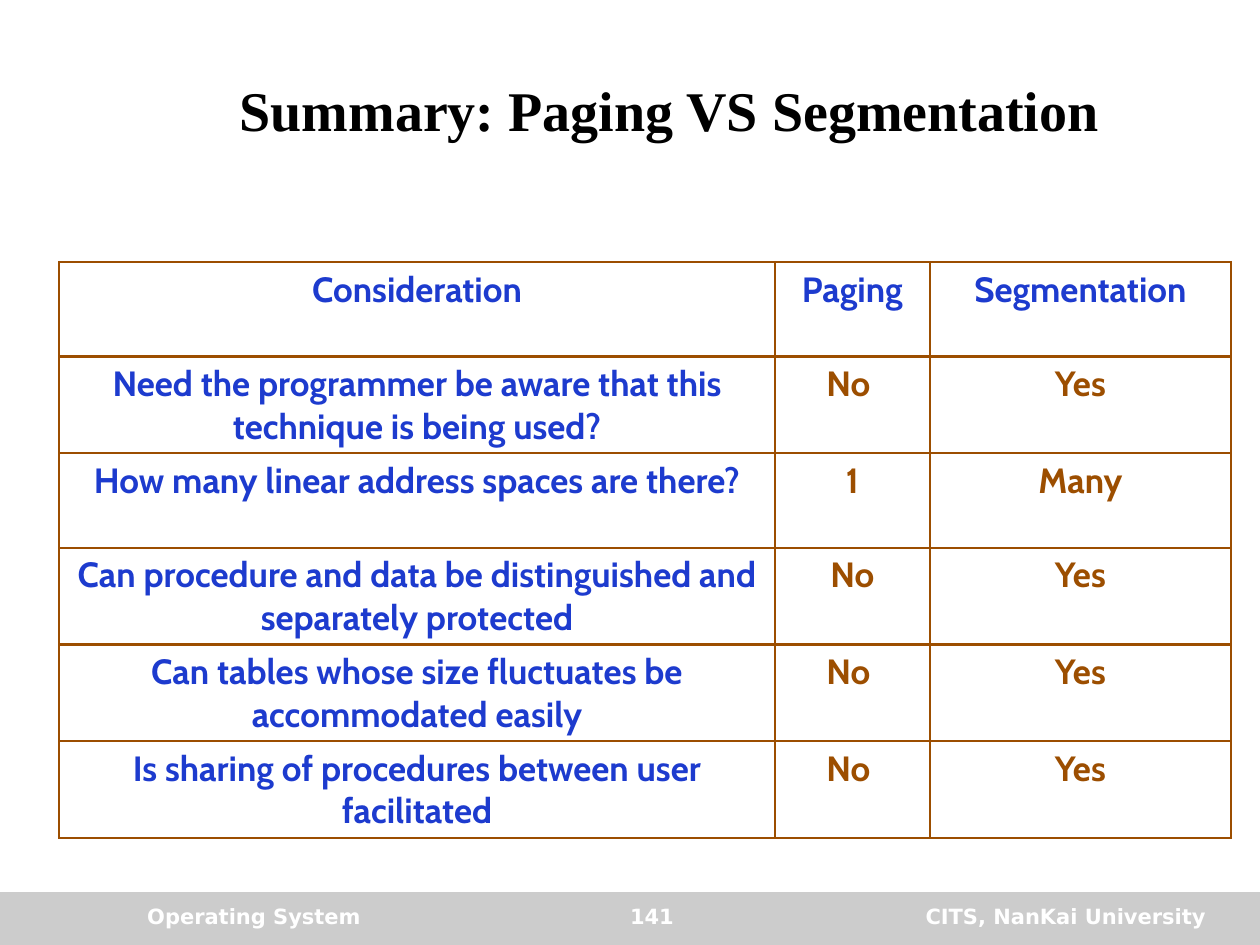
from lxml import etree
from pptx import Presentation
from pptx.dml.color import RGBColor
from pptx.enum import shapes, text
from pptx.oxml import ns
from pptx.util import Inches, Pt

BLACK = RGBColor(0x00, 0x00, 0x00)
WHITE = RGBColor(0xFF, 0xFF, 0xFF)
GRAY = RGBColor(0xCC, 0xCC, 0xCC)
BLUE = RGBColor(0x1D, 0x3B, 0xCE)
BROWN = RGBColor(0x9C, 0x4E, 0x00)

COLUMN_WIDTHS = (5.68, 1.23, 2.39)
ROW_HEIGHT = 0.75
ROWS = (
    ("Consideration", "Paging", "Segmentation"),
    ("Need the programmer be aware that this technique is being used?", "No ", "Yes"),
    ("How many linear address spaces are there?", "1", "Many"),
    ("Can procedure and data be distinguished and separately protected", "No", "Yes"),
    ("Can tables whose size fluctuates be accommodated easily", "No ", "Yes"),
    ("Is sharing of procedures between user facilitated", "No ", "Yes"),
)
FOOTER_ITEMS = (
    ("Operating System", 1.07, 2.75, text.PP_ALIGN.LEFT),
    ("141", 4.01, 2.33, text.PP_ALIGN.CENTER),
    ("CITS, NanKai University", 6.5, 3.17, text.PP_ALIGN.RIGHT),
)


def write_text(frame, content, *, font, size, color, align=text.PP_ALIGN.CENTER,
               anchor=text.MSO_ANCHOR.TOP):
    """Write one bold paragraph into a text frame."""
    frame.word_wrap = True
    frame.vertical_anchor = anchor
    paragraph = frame.paragraphs[0]
    paragraph.alignment = align
    run = paragraph.add_run()
    run.text = content
    run.font.name = font
    run.font.size = Pt(size)
    run.font.bold = True
    run.font.color.rgb = color


def add_title(slide, left, top, width, height):
    """Place and format the title placeholder."""
    title = slide.shapes.title
    title.left, title.top = Inches(left), Inches(top)
    title.width, title.height = Inches(width), Inches(height)
    write_text(title.text_frame, "Summary: Paging VS Segmentation",
               font="Times New Roman", size=32, color=BLACK,
               anchor=text.MSO_ANCHOR.MIDDLE)


def add_borders(cell, color, width):
    """Draw a solid line on all four sides of a cell."""
    properties = cell._tc.get_or_add_tcPr()
    for side in ("lnL", "lnR", "lnT", "lnB"):
        line = etree.SubElement(properties, ns.qn(f"a:{side}"), w=str(Pt(width)))
        fill = etree.SubElement(line, ns.qn("a:solidFill"))
        etree.SubElement(fill, ns.qn("a:srgbClr"), val=str(color))


def add_comparison_table(slide, left, top):
    """Build the table that compares paging with segmentation."""
    frame = slide.shapes.add_table(
        len(ROWS), len(COLUMN_WIDTHS), Inches(left), Inches(top),
        Inches(sum(COLUMN_WIDTHS)), Inches(ROW_HEIGHT * len(ROWS)))
    table = frame.table
    table.first_row = table.horz_banding = False
    for column, width in zip(table.columns, COLUMN_WIDTHS):
        column.width = Inches(width)
    for row_index, row in enumerate(ROWS):
        for column_index, content in enumerate(row):
            cell = table.cell(row_index, column_index)
            add_borders(cell, BROWN, 1.5)
            cell.fill.solid()
            cell.fill.fore_color.rgb = WHITE
            is_heading = row_index == 0 or column_index == 0
            write_text(cell.text_frame, content, font="Cabin", size=20,
                       color=BLUE if is_heading else BROWN)


def add_footer(slide, left, top, width, height):
    """Draw the gray footer bar with its three labels."""
    bar = slide.shapes.add_shape(
        shapes.MSO_SHAPE.RECTANGLE, Inches(left), Inches(top),
        Inches(width), Inches(height))
    bar.shadow.inherit = False
    bar.fill.solid()
    bar.fill.fore_color.rgb = GRAY
    bar.line.fill.background()
    for content, offset, label_width, align in FOOTER_ITEMS:
        label = slide.shapes.add_textbox(
            Inches(left + offset), Inches(top + 0.04),
            Inches(label_width), Inches(0.33))
        write_text(label.text_frame, content, font="DejaVu Sans", size=12,
                   color=WHITE, align=align)


def main():
    """Build and save the slide."""
    presentation = Presentation()
    presentation.slide_width = Inches(10)
    presentation.slide_height = Inches(7.5)
    slide = presentation.slides.add_slide(presentation.slide_layouts[5])
    add_footer(slide, 0, 7.08, 10, 0.42)
    add_title(slide, 1.06, 0.33, 8.51, 1.07)
    add_comparison_table(slide, 0.47, 2.08)
    presentation.save("out.pptx")


if __name__ == "__main__":
    main()
